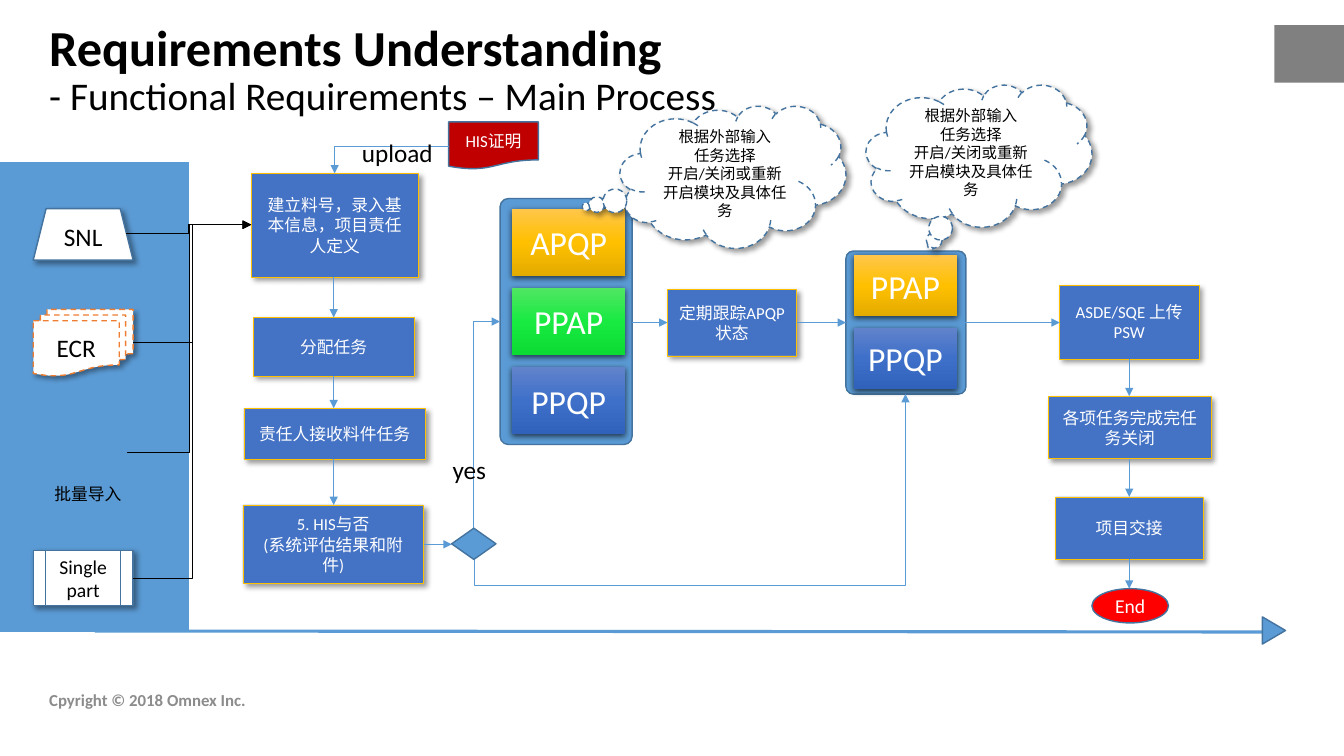
from lxml import etree
from pptx import Presentation
from pptx.dml.color import RGBColor
from pptx.enum.dml import MSO_LINE
from pptx.enum.shapes import MSO_CONNECTOR, MSO_SHAPE
from pptx.enum.text import MSO_ANCHOR, PP_ALIGN
from pptx.oxml.ns import qn
from pptx.util import Inches, Pt

FONT = "Calibri"
BLACK, WHITE = "000000", "FFFFFF"
BLUE, OUTLINE, BOX_BLUE, GOLD = "5B9BD5", "43739E", "4472C4", "FFC000"
AMBER_STOPS = ("FFC64B", "FFC000", "E3AB00")
GREEN_STOPS = ("51E663", "19EA42", "0CDB34")
BLUE_STOPS = ("6183CB", "3E70CA", "3062BB")
SOFT_SHADOW = (40, 4, 3, 45)
BLOCK_SHADOW = (63, 4.5, 1.5, 90)

RECT, ROUNDED = MSO_SHAPE.RECTANGLE, MSO_SHAPE.ROUNDED_RECTANGLE
CLOUD = MSO_SHAPE.CLOUD_CALLOUT
STRAIGHT, ELBOW = MSO_CONNECTOR.STRAIGHT, MSO_CONNECTOR.ELBOW
CENTER, MIDDLE, TOP = PP_ALIGN.CENTER, MSO_ANCHOR.MIDDLE, MSO_ANCHOR.TOP

STEPS = [
    (2.49, 1.72, 1.66, 1.03, "建立料号，录入基本信息，项目责任人定义"),
    (2.51, 3.15, 1.6, 0.58, "分配任务"),
    (2.42, 4.05, 1.8, 0.51, "责任人接收料件任务"),
    (2.41, 5.01, 1.79, 0.78, "5. HIS与否\n(系统评估结果和附件)"),
    (6.62, 2.87, 1.28, 0.66, "定期跟踪APQP状态"),
    (10.51, 2.83, 1.38, 0.73, "ASDE/SQE 上传PSW"),
    (10.4, 3.93, 1.61, 0.62, "各项任务完成完任务关闭"),
    (10.47, 4.93, 1.46, 0.62, "项目交接"),
]
STEP_ARROWS = [
    (3.31, 2.75, 3.31, 3.15), (3.31, 3.73, 3.31, 4.05), (3.31, 4.55, 3.31, 5.01),
    (4.21, 5.4, 4.48, 5.4), (6.27, 3.2, 6.62, 3.2), (7.9, 3.2, 8.39, 3.2),
    (9.57, 3.2, 10.51, 3.2), (11.2, 3.56, 11.2, 3.93), (11.2, 4.55, 11.2, 4.93),
    (11.2, 5.55, 11.2, 5.84),
]
INPUT_STARTS = [(1.25, 2.32), (1.32, 3.4), (1.26, 4.49), (1.32, 5.74)]
CLOUD_TEXT = "根据外部输入\n任务选择\n开启/关闭或重新开启模块及具体任务"


def rgb(color):
    return RGBColor.from_string(color)


def set_font(font, size, color, bold=False):
    font.name, font.size, font.bold = FONT, Pt(size), bold
    font.color.rgb = rgb(color)


def write_text(shape, text, size, color, align):
    shape.text_frame.text = text
    for paragraph in shape.text_frame.paragraphs:
        paragraph.alignment = align
        set_font(paragraph.font, size, color)


def add_shadow(shape, shadow):
    opacity, blur, distance, angle = shadow
    effects = shape._element.spPr.find(qn("a:effectLst"))
    outer = etree.SubElement(
        effects, qn("a:outerShdw"), blurRad=str(Pt(blur)), dist=str(Pt(distance)),
        dir=str(angle * 60000), algn="t", rotWithShape="0")
    color = etree.SubElement(outer, qn("a:srgbClr"), val=BLACK)
    etree.SubElement(color, qn("a:alpha"), val=str(opacity * 1000))


def fill_gradient(shape, colors):
    """Fill from top to bottom with three evenly spaced stops."""
    shape.fill.gradient()
    shape.fill.gradient_angle = 270
    stops = shape._element.spPr.find(qn("a:gradFill")).find(qn("a:gsLst"))
    for stop in list(stops):
        stops.remove(stop)
    for index, color in enumerate(colors):
        stop = etree.SubElement(stops, qn("a:gs"), pos=str(index * 50000))
        etree.SubElement(stop, qn("a:srgbClr"), val=color)


def add_figure(slide, kind, box, fill, line=OUTLINE, width=1, text="", size=12,
               color=WHITE, shadow=None, dashed=False):
    shape = slide.shapes.add_shape(kind, *map(Inches, box))
    shape.shadow.inherit = False
    if isinstance(fill, tuple):
        fill_gradient(shape, fill)
    else:
        shape.fill.solid()
        shape.fill.fore_color.rgb = rgb(fill)
    if line:
        shape.line.color.rgb = rgb(line)
        shape.line.width = Pt(width)
    else:
        shape.line.fill.background()
    if dashed:
        shape.line.dash_style = MSO_LINE.DASH
    if shadow:
        add_shadow(shape, shadow)
    if text:
        write_text(shape, text, size, color, CENTER)
    return shape


def add_label(slide, box, text, size, color=BLACK, anchor=TOP, wrap=False):
    label = slide.shapes.add_textbox(*map(Inches, box))
    label.text_frame.word_wrap = wrap
    label.text_frame.vertical_anchor = anchor
    write_text(label, text, size, color, PP_ALIGN.LEFT)
    return label


def add_title(slide):
    title = add_label(slide, (0.39, -0.02, 11.5, 1.45), "", 36, anchor=MIDDLE, wrap=True)
    paragraph = title.text_frame.paragraphs[0]
    paragraph.line_spacing = 0.9
    heading = paragraph.add_run()
    heading.text = "Requirements Understanding"
    set_font(heading.font, 36, BLACK, bold=True)
    paragraph.add_line_break()
    subtitle = paragraph.add_run()
    subtitle.text = "- Functional Requirements – Main Process"
    set_font(subtitle.font, 28, BLACK)


def add_line(slide, ends, color=BLUE, width=0.5, kind=STRAIGHT, arrow=True):
    connector = slide.shapes.add_connector(kind, *map(Inches, ends))
    connector.line.color.rgb = rgb(color)
    connector.line.width = Pt(width)
    properties = connector._element.spPr
    if arrow:
        etree.SubElement(properties.find(qn("a:ln")), qn("a:tailEnd"), type="triangle")
    etree.SubElement(properties, qn("a:effectLst"))
    return connector


def make_corner(connector):
    """Reduce an elbow to a single bend."""
    connector._element.spPr.find(qn("a:prstGeom")).set("prst", "bentConnector2")


def add_rising_elbow(slide, left, bottom, right, top):
    """Elbow that leaves its lower left end vertically."""
    middle_x, middle_y = (left + right) / 2, (top + bottom) / 2
    half_run, half_rise = (bottom - top) / 2, (right - left) / 2
    connector = add_line(slide, (middle_x + half_run, middle_y + half_rise,
                                 middle_x - half_run, middle_y - half_rise), kind=ELBOW)
    connector._element.spPr.find(qn("a:xfrm")).set("rot", str(90 * 60000))
    return connector


def add_stack(slide, frame, first_block, pitch, blocks):
    """Rounded frame holding equally spaced gradient blocks."""
    add_figure(slide, ROUNDED, frame, BLUE).adjustments[0] = 0.062
    left, top, width, height = first_block
    for index, (text, colors) in enumerate(blocks):
        add_figure(slide, RECT, (left, top + index * pitch, width, height), colors,
                   None, text=text, size=24, shadow=BLOCK_SHADOW)


def add_inputs(slide):
    add_figure(slide, MSO_SHAPE.FLOWCHART_MULTIDOCUMENT, (0.33, 3.07, 0.99, 0.66), WHITE,
               "ED7D31", 1, "ECR", 18, BLACK, SOFT_SHADOW, True)
    add_figure(slide, MSO_SHAPE.TRAPEZOID, (0.33, 2.07, 0.99, 0.51), WHITE,
               text="SNL", size=18, color=BLACK, shadow=SOFT_SHADOW)
    add_label(slide, (0.44, 4.75, 0.88, 0.22), "批量导入", 12)
    add_figure(slide, MSO_SHAPE.FLOWCHART_PREDEFINED_PROCESS, (0.33, 5.46, 0.99, 0.55),
               WHITE, text="Single part", size=14, color=BLACK, shadow=SOFT_SHADOW)
    for start in INPUT_STARTS:
        add_line(slide, (*start, 2.49, 2.23), BLACK, kind=ELBOW)


def add_decision(slide):
    make_corner(add_rising_elbow(slide, 4.7, 5.24, 4.96, 3.19))
    add_figure(slide, MSO_SHAPE.DIAMOND, (4.48, 5.24, 0.44, 0.31), BLUE)
    detour = add_rising_elbow(slide, 4.7, 5.56, 8.98, 3.91)
    guides = detour._element.spPr.find(qn("a:prstGeom")).get_or_add_avLst()
    etree.SubElement(guides, qn("a:gd"), name="adj1", fmla="val -15200")
    add_label(slide, (4.39, 4.46, 0.54, 0.4), "yes", 18)


def main():
    presentation = Presentation()
    presentation.slide_width, presentation.slide_height = Inches(13.33), Inches(7.5)
    slide = presentation.slides.add_slide(presentation.slide_layouts[6])

    add_figure(slide, RECT, (12.64, 0.25, 0.69, 0.57), "808080", None)
    add_figure(slide, RECT, (0, 1.61, 1.87, 4.65), BLUE, BLUE)
    add_line(slide, (0.94, 6.26, 12.52, 6.27), width=2.25, arrow=False)
    add_figure(slide, MSO_SHAPE.ISOSCELES_TRIANGLE, (12.5, 6.14, 0.27, 0.23), BLUE).rotation = 90
    add_title(slide)
    copyright_line = add_label(slide, (0.39, 6.74, 4.5, 0.4), "Cpyright © 2018 Omnex Inc.",
                               12, "8C8C8C", MIDDLE, True)
    copyright_line.text_frame.paragraphs[0].font.bold = True

    add_stack(slide, (4.96, 1.97, 1.31, 2.44), (5.08, 2.07, 1.12, 0.67), 0.785,
              [("APQP", AMBER_STOPS), ("PPAP", GREEN_STOPS), ("PPQP", BLUE_STOPS)])
    add_stack(slide, (8.39, 2.49, 1.19, 1.42), (8.47, 2.53, 1.02, 0.61), 0.72,
              [("PPAP", AMBER_STOPS), ("PPQP", BLUE_STOPS)])
    for *box, text in STEPS:
        add_figure(slide, RECT, box, BOX_BLUE, GOLD, 0.25, text, shadow=SOFT_SHADOW)
    add_inputs(slide)
    for ends in STEP_ARROWS:
        add_line(slide, ends)
    add_figure(slide, MSO_SHAPE.FLOWCHART_DOCUMENT, (4.45, 1.21, 0.89, 0.47), "C00000",
               text="HIS证明")
    make_corner(add_line(slide, (4.45, 1.45, 3.32, 1.72), kind=ELBOW))
    add_label(slide, (3.49, 1.31, 0.91, 0.4), "upload", 18)
    add_decision(slide)

    for left, top, tail in [(8.59, 0.84, (-0.21, 0.63)), (6.15, 1.05, (-0.65, 0.21))]:
        cloud = add_figure(slide, CLOUD, (left, top, 2.24, 1.41), WHITE, text=CLOUD_TEXT,
                           size=11, color=BLACK, shadow=SOFT_SHADOW, dashed=True)
        cloud.adjustments[0], cloud.adjustments[1] = tail
    add_figure(slide, MSO_SHAPE.OVAL, (10.83, 5.84, 0.76, 0.34), "FF0000", text="End", size=14)
    presentation.save("out.pptx")


if __name__ == "__main__":
    main()
